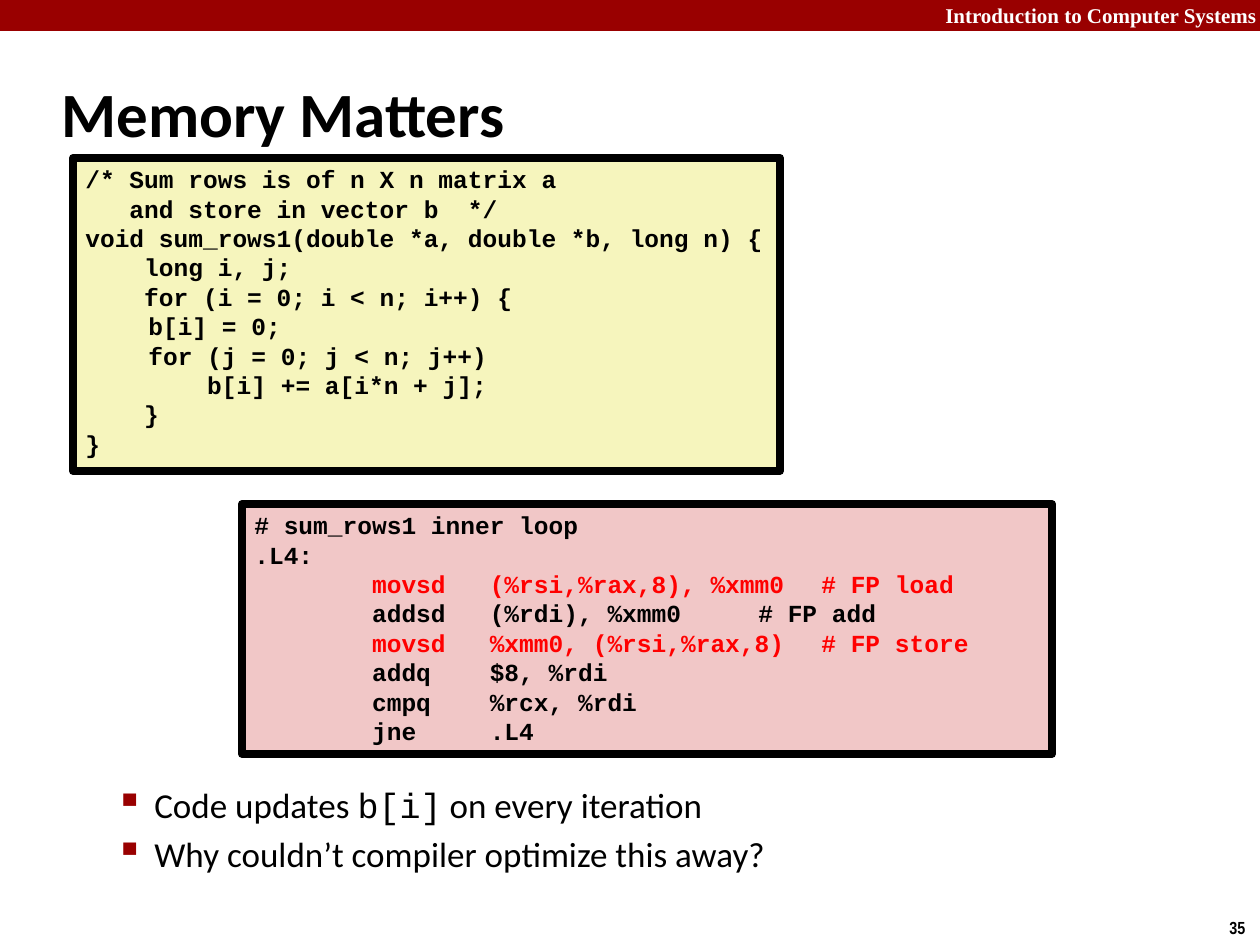
"""Build the Memory Matters slide with its two code panels."""
from pptx import Presentation
from pptx.dml.color import RGBColor
from pptx.enum.shapes import MSO_SHAPE
from pptx.enum.text import MSO_ANCHOR, PP_ALIGN
from pptx.oxml.ns import qn
from pptx.util import Emu, Pt
from lxml import etree

RECTANGLE = MSO_SHAPE.RECTANGLE
TOP, MIDDLE = MSO_ANCHOR.TOP, MSO_ANCHOR.MIDDLE
LEFT, RIGHT = PP_ALIGN.LEFT, PP_ALIGN.RIGHT

BLACK = RGBColor(0x00, 0x00, 0x00)
WHITE = RGBColor(0xFF, 0xFF, 0xFF)
RED = RGBColor(0xFF, 0x00, 0x00)
MAROON = RGBColor(0x99, 0x00, 0x00)
YELLOW = RGBColor(0xF6, 0xF5, 0xBD)
PINK = RGBColor(0xF1, 0xC7, 0xC7)

SCALE = 914400 / 126
SLIDE_SIZE = (1260, 945)
BANNER_BOX = (0, 0, 1260, 31)
BODY_BOX = (40, 777, 1186, 111)
BULLET_MARGIN, BULLET_INDENT = 102, -39

LABELS = [
    ("Introduction to Computer Systems", (756, -4, 513, 38), "Times New Roman", 12, WHITE, RIGHT, TOP, True),
    ("35", (1217, 911, 43, 34), "Arial Narrow", 10, BLACK, LEFT, TOP, False),
    ("Memory Matters", (49, 60, 1046, 105), "Calibri", 36, BLACK, LEFT, MIDDLE, True),
]

ASSEMBLY_LINES = [
    ("# sum_rows1 inner loop", BLACK),
    (".L4:", BLACK),
    ("        movsd   (%rsi,%rax,8), %xmm0\t# FP load", RED),
    ("        addsd   (%rdi), %xmm0\t\t# FP add", BLACK),
    ("        movsd   %xmm0, (%rsi,%rax,8)\t# FP store", RED),
    ("        addq    $8, %rdi", BLACK),
    ("        cmpq    %rcx, %rdi", BLACK),
    ("        jne     .L4", BLACK),
]

C_LINES = [
    ("/* Sum rows is of n X n matrix a", BLACK),
    ("   and store in vector b  */", BLACK),
    ("void sum_rows1(double *a, double *b, long n) {", BLACK),
    ("    long i, j;", BLACK),
    ("    for (i = 0; i < n; i++) {", BLACK),
    ("\tb[i] = 0;", BLACK),
    ("\tfor (j = 0; j < n; j++)", BLACK),
    ("\t    b[i] += a[i*n + j];", BLACK),
    ("    }", BLACK),
    ("}", BLACK),
]

CODE_PANELS = [
    ((242, 504, 810, 250), PINK, ASSEMBLY_LINES),
    ((73, 158, 707, 313), YELLOW, C_LINES),
]

BULLETS = [
    [("Code updates ", "Calibri"), ("b[i]", "Courier New"), (" on every iteration", "Calibri")],
    [("Why couldn’t compiler optimize this away?", "Calibri")],
]


def px(length):
    return Emu(round(length * SCALE))


def add_run(paragraph, text, font_name, size, color, bold):
    run = paragraph.add_run()
    run.text = text
    run.font.name = font_name
    run.font.size = Pt(size)
    run.font.color.rgb = color
    run.font.bold = bold


def add_paragraphs(frame, count):
    return [frame.paragraphs[0]] + [frame.add_paragraph() for _ in range(count - 1)]


def add_rectangle(slide, box, fill):
    shape = slide.shapes.add_shape(RECTANGLE, *map(px, box))
    shape.shadow.inherit = False
    shape.fill.solid()
    shape.fill.fore_color.rgb = fill
    return shape


def add_label(slide, text, box, font_name, size, color, alignment, anchor, wrap):
    frame = slide.shapes.add_textbox(*map(px, box)).text_frame
    frame.word_wrap = wrap
    frame.vertical_anchor = anchor
    paragraph = frame.paragraphs[0]
    paragraph.alignment = alignment
    add_run(paragraph, text, font_name, size, color, True)


def add_code_panel(slide, box, fill, lines):
    shape = add_rectangle(slide, box, fill)
    shape.line.color.rgb = BLACK
    shape.line.width = Pt(4.5)
    frame = shape.text_frame
    frame.word_wrap = False
    frame.vertical_anchor = TOP
    for paragraph, (text, color) in zip(add_paragraphs(frame, len(lines)), lines):
        paragraph.alignment = LEFT
        add_run(paragraph, text, "Courier New", 14, color, True)


def set_bullet(paragraph):
    properties = paragraph._p.get_or_add_pPr()
    properties.set("marL", str(px(BULLET_MARGIN)))
    properties.set("indent", str(px(BULLET_INDENT)))
    color = etree.SubElement(properties, qn("a:buClr"))
    etree.SubElement(color, qn("a:srgbClr"), val=str(MAROON))
    etree.SubElement(properties, qn("a:buSzPct"), val="110000")
    etree.SubElement(properties, qn("a:buChar"), char="▪")


def add_bullets(slide):
    frame = slide.shapes.add_textbox(*map(px, BODY_BOX)).text_frame
    frame.word_wrap = True
    for paragraph, runs in zip(add_paragraphs(frame, len(BULLETS)), BULLETS):
        paragraph.space_before = Pt(4)
        set_bullet(paragraph)
        for text, font_name in runs:
            add_run(paragraph, text, font_name, 20, BLACK, False)


def main():
    presentation = Presentation()
    presentation.slide_width, presentation.slide_height = map(px, SLIDE_SIZE)
    slide = presentation.slides.add_slide(presentation.slide_layouts[6])
    banner = add_rectangle(slide, BANNER_BOX, MAROON)
    banner.line.fill.background()
    for label in LABELS:
        add_label(slide, *label)
    add_bullets(slide)
    for panel in CODE_PANELS:
        add_code_panel(slide, *panel)
    presentation.save("out.pptx")


if __name__ == "__main__":
    main()
